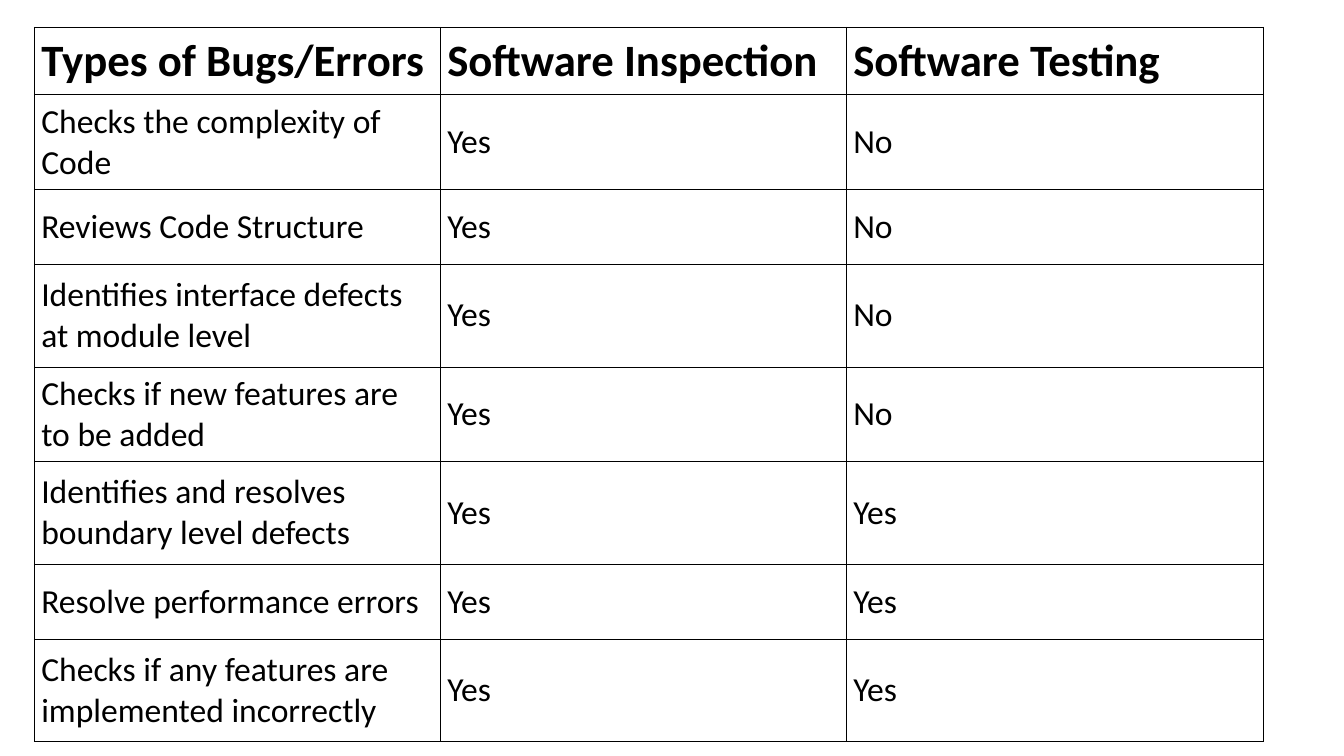
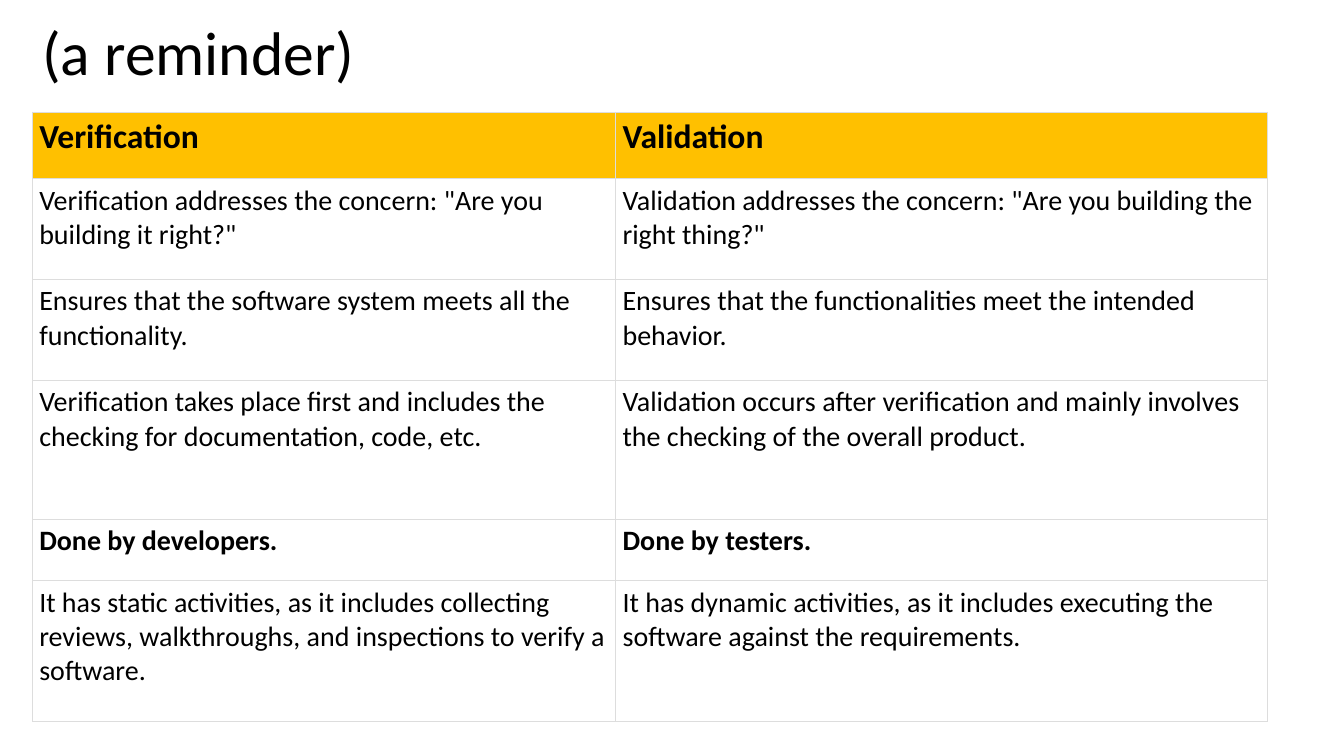
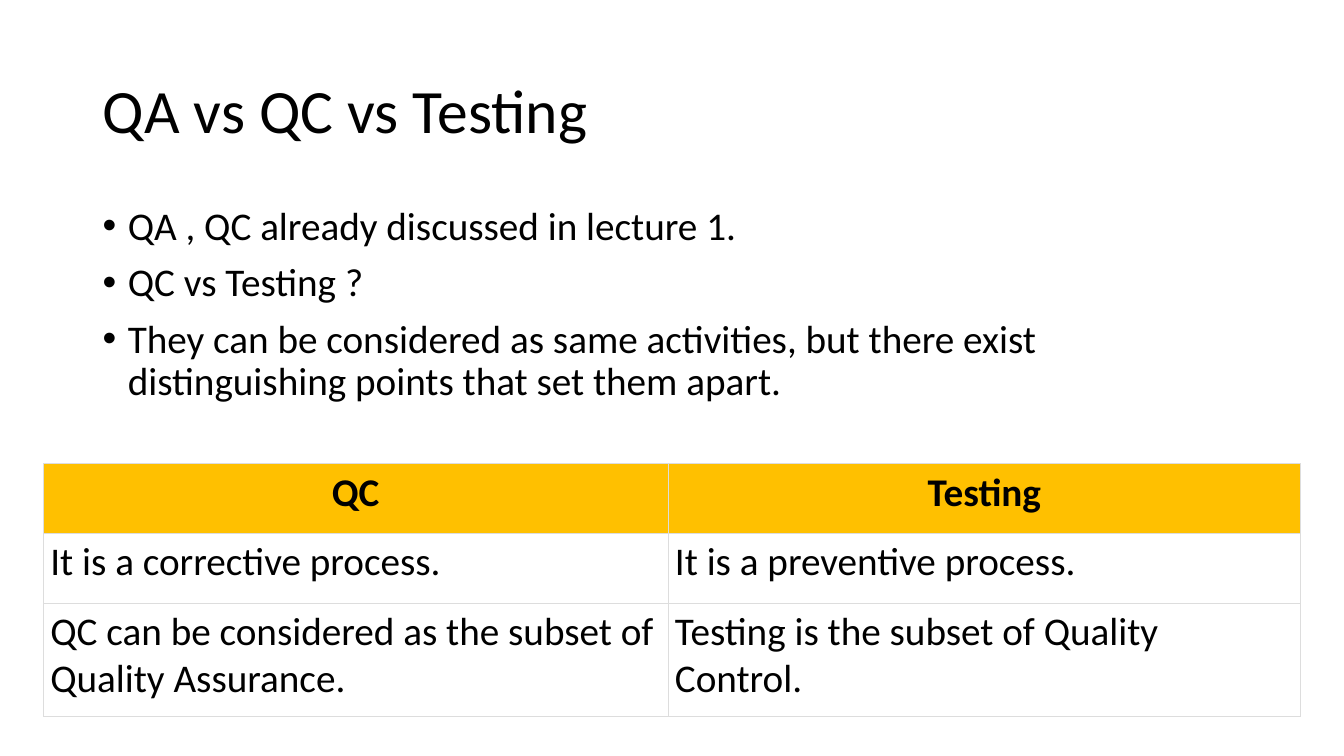
from lxml.etree import SubElement
from pptx import Presentation
from pptx.dml.color import RGBColor
from pptx.enum.text import MSO_ANCHOR, MSO_AUTO_SIZE, PP_ALIGN
from pptx.oxml import parse_xml
from pptx.oxml.ns import nsdecls, qn
from pptx.util import Inches, Pt

COLORS = {"text": "000000", "header": "FFC000", "grid": "000000", "light_grid": "DDDDDD"}
FONT = "Calibri"
TITLE_ONLY, BLANK = 5, 6


def write(frame, *lines, size, bold=False, align=PP_ALIGN.LEFT,
          anchor=MSO_ANCHOR.TOP, spacing=1.0, gap=0, bullet=False):
    frame.word_wrap = True
    frame.auto_size = MSO_AUTO_SIZE.NONE
    frame.vertical_anchor = anchor
    for index, line in enumerate(lines):
        paragraph = frame.add_paragraph() if index else frame.paragraphs[0]
        paragraph.text = line
        paragraph.alignment = align
        paragraph.line_spacing = spacing
        paragraph.space_before = Pt(gap if index else 0)
        if bullet:
            properties = paragraph._p.get_or_add_pPr()
            properties.set("marL", str(Inches(0.25)))
            properties.set("indent", str(-Inches(0.25)))
            SubElement(properties, qn("a:buFont")).set("typeface", "Arial")
            SubElement(properties, qn("a:buChar")).set("char", "•")
        font = paragraph.font
        font.name, font.size, font.bold = FONT, Pt(size), bold
        font.color.rgb = RGBColor.from_string(COLORS["text"])


def draw_table(slide, rows, left, top, widths, heights, size, header_size,
               grid="light_grid", line_width=0.34, header_fill="header",
               header_align=PP_ALIGN.LEFT, anchor=MSO_ANCHOR.TOP, bold_rows=(0,)):
    table = slide.shapes.add_table(
        len(rows), len(widths), Inches(left), Inches(top),
        Inches(sum(widths)), Inches(sum(heights))).table
    table.first_row = table.horz_banding = False
    for column, width in zip(table.columns, widths):
        column.width = Inches(width)
    for r, (row, height) in enumerate(zip(rows, heights)):
        table.rows[r].height = Inches(height)
        for c, text in enumerate(row):
            cell = table.cell(r, c)
            cell.margin_left = cell.margin_right = Inches(0.07)
            cell.margin_top = cell.margin_bottom = Inches(0.05)
            write(cell.text_frame, text, size=size if r else header_size,
                  bold=r in bold_rows, align=PP_ALIGN.LEFT if r else header_align)
            cell.vertical_anchor = anchor
            if r == 0 and header_fill:
                cell.fill.solid()
                cell.fill.fore_color.rgb = RGBColor.from_string(COLORS[header_fill])
            else:
                cell.fill.background()
            # Borders come before the fill in the cell properties
            for position, side in enumerate(("lnL", "lnR", "lnT", "lnB")):
                border = parse_xml(
                    f'<a:{side} {nsdecls("a")} w="{Pt(line_width)}"><a:solidFill>'
                    f'<a:srgbClr val="{COLORS[grid]}"/></a:solidFill></a:{side}>')
                cell._tc.get_or_add_tcPr().insert(position, border)


presentation = Presentation()
presentation.slide_width, presentation.slide_height = Inches(13.34), Inches(7.5)
layouts = presentation.slide_layouts

# Inspection and testing compared
inspection_slide = presentation.slides.add_slide(layouts[BLANK])
draw_table(
    inspection_slide,
    [("Types of Bugs/Errors", "Software Inspection", "Software Testing"),
     ("Checks the complexity of Code", "Yes", "No"),
     ("Reviews Code Structure", "Yes", "No"),
     ("Identifies interface defects at module level", "Yes", "No"),
     ("Checks if new features are to be added", "Yes", "No"),
     ("Identifies and resolves boundary level defects", "Yes", "Yes"),
     ("Resolve performance errors", "Yes", "Yes"),
     ("Checks if any features are implemented incorrectly", "Yes", "Yes")],
    left=0.34, top=0.27, widths=(4.03, 4.03, 4.14),
    heights=(0.67, 0.94, 0.74, 1.02, 0.94, 1.02, 0.74, 1.02),
    size=24, header_size=32, grid="grid", line_width=0.45,
    header_fill=None, anchor=MSO_ANCHOR.MIDDLE)

# Titled slides
titled_slides = []
for heading, left, top, height in (("(a reminder)", 0.32, 0, 1.11),
                                   ("QA vs QC vs Testing", 0.92, 0.4, 1.45)):
    slide = presentation.slides.add_slide(layouts[TITLE_ONLY])
    title = slide.shapes.title
    title.left, title.top = Inches(left), Inches(top)
    title.width, title.height = Inches(11.5), Inches(height)
    write(title.text_frame, heading, size=44, spacing=0.9, anchor=MSO_ANCHOR.MIDDLE)
    titled_slides.append(slide)
reminder_slide, quality_slide = titled_slides

# Verification and validation compared
draw_table(
    reminder_slide,
    [("Verification", "Validation"),
     ('Verification addresses the concern: "Are you building it right?"',
      'Validation addresses the concern: "Are you building the right thing?"'),
     ("Ensures that the software system meets all the functionality.",
      "Ensures that the functionalities meet the intended behavior."),
     ("Verification takes place first and includes the checking for documentation, code, etc.",
      "Validation occurs after verification and mainly involves the checking of the overall product."),
     ("Done by developers.", "Done by testers."),
     ("It has static activities, as it includes collecting reviews, walkthroughs, "
      "and inspections to verify a software.",
      "It has dynamic activities, as it includes executing the software against the requirements.")],
    left=0.32, top=1.11, widths=(5.79, 6.47), heights=(0.66, 1, 1, 1.38, 0.61, 1.4),
    size=20, header_size=24, bold_rows=(0, 4))

# Quality control and testing: points, then comparison
points = quality_slide.shapes.add_textbox(Inches(0.92), Inches(2), Inches(11.5), Inches(4.76))
write(points.text_frame,
      "QA , QC already discussed in lecture 1.",
      "QC vs Testing ?",
      "They can be considered as same activities, but there exist "
      "distinguishing points that set them apart.",
      size=28, spacing=0.9, gap=10, bullet=True)
draw_table(
    quality_slide,
    [("QC", "Testing"),
     ("It is a corrective process.", "It is a preventive process."),
     ("QC can be considered as the subset of Quality Assurance.",
      "Testing is the subset of Quality Control.")],
    left=0.43, top=4.6, widths=(6.2, 6.28), heights=(0.69, 0.69, 1.13),
    size=28, header_size=28, header_align=PP_ALIGN.CENTER)

presentation.save("out.pptx")
